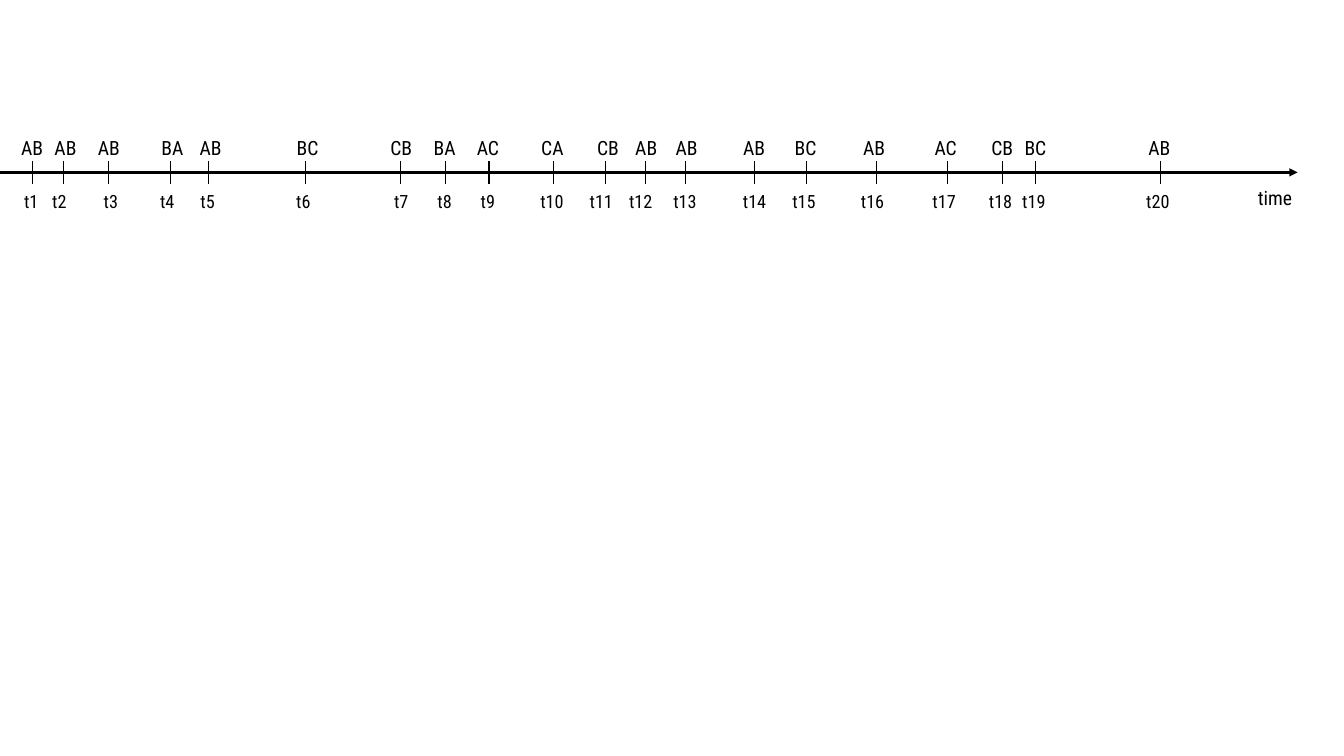
from collections import namedtuple
from dataclasses import dataclass

from lxml.etree import SubElement
from pptx import Presentation
from pptx.dml.color import RGBColor
from pptx.enum.shapes import MSO_CONNECTOR
from pptx.enum.text import MSO_ANCHOR, MSO_AUTO_SIZE, PP_ALIGN
from pptx.oxml.ns import qn
from pptx.util import Inches, Pt


@dataclass(frozen=True)
class Theme:
    ink: RGBColor = RGBColor(0, 0, 0)
    font: str = "Roboto Condensed"
    contact_size: Pt = Pt(14)
    moment_size: Pt = Pt(13)
    axis_width: Pt = Pt(1.75)
    tick_width: Pt = Pt(0.75)


THEME = Theme()
Box = namedtuple("Box", "left top width height")
Event = namedtuple("Event", "contact tick contact_left moment_left")

EVENTS = [
    Event("AB", 0.32, 0.05, 0.14),
    Event("AB", 0.63, 0.38, 0.42),
    Event("AB", 1.08, 0.81, 0.93),
    Event("BA", 1.69, 1.44, 1.49),
    Event("AB", 2.07, 1.82, 1.89),
    Event("BC", 3.03, 2.78, 2.84),
    Event("CB", 3.97, 3.71, 3.81),
    Event("BA", 4.42, 4.14, 4.24),
    Event("AC", 4.85, 4.57, 4.67),
    Event("CA", 5.49, 5.21, 5.26),
    Event("CB", 6.01, 5.76, 5.75),
    Event("AB", 6.4, 6.14, 6.14),
    Event("AB", 6.8, 6.54, 6.58),
    Event("AB", 7.48, 7.21, 7.27),
    Event("BC", 8, 7.72, 7.76),
    Event("AB", 8.69, 8.4, 8.44),
    Event("AC", 9.4, 9.11, 9.15),
    Event("CB", 9.94, 9.67, 9.71),
    Event("BC", 10.27, 10, 10.04),
    Event("AB", 11.51, 11.23, 11.27),
]

CENTERED = {"word_wrap": True, "vertical_anchor": MSO_ANCHOR.MIDDLE}
FITTED = {"word_wrap": False, "auto_size": MSO_AUTO_SIZE.SHAPE_TO_FIT_TEXT}


def apply_format(target, values):
    for attribute, value in values.items():
        setattr(target, attribute, value)


def add_label(slide, box, wording, size, frame_format, alignment):
    label = slide.shapes.add_textbox(*map(Inches, box))
    apply_format(label.text_frame, frame_format)
    paragraph = label.text_frame.paragraphs[0]
    paragraph.alignment = alignment
    run = paragraph.add_run()
    run.text = wording
    apply_format(run.font, {"name": THEME.font, "size": size})
    run.font.color.rgb = THEME.ink


def add_line(slide, start, end, width):
    line = slide.shapes.add_connector(
        MSO_CONNECTOR.STRAIGHT, *map(Inches, (*start, *end))
    )
    line.line.width = width
    line.line.color.rgb = THEME.ink
    SubElement(line._element.spPr, qn("a:effectLst"))
    return line


def add_axis(slide, box):
    axis_y = box.top + 0.42
    axis = add_line(
        slide,
        (box.left, axis_y),
        (box.left + box.width - 0.08, axis_y),
        THEME.axis_width,
    )
    SubElement(axis.line._get_or_add_ln(), qn("a:tailEnd"), type="triangle")
    name_box = Box(box.left + box.width - 0.61, box.top + 0.5, 0.61, 0.35)
    add_label(slide, name_box, "time", THEME.contact_size, CENTERED, PP_ALIGN.CENTER)


def add_event(slide, box, number, event):
    tick_x = box.left + event.tick
    add_line(
        slide, (tick_x, box.top + 0.31), (tick_x, box.top + 0.54), THEME.tick_width
    )
    contact_box = Box(box.left + event.contact_left, box.top, 0.54, 0.35)
    add_label(
        slide, contact_box, event.contact, THEME.contact_size, CENTERED, PP_ALIGN.CENTER
    )
    moment_width = 0.36 if number < 10 else 0.45
    moment_box = Box(box.left + event.moment_left, box.top + 0.55, moment_width, 0.32)
    add_label(
        slide, moment_box, f"t{number}", THEME.moment_size, FITTED, PP_ALIGN.LEFT
    )


def add_timeline(slide, box):
    add_axis(slide, box)
    for number, event in enumerate(EVENTS, 1):
        add_event(slide, box, number, event)


def main():
    presentation = Presentation()
    apply_format(
        presentation, {"slide_width": Inches(13.33), "slide_height": Inches(7.5)}
    )
    slide = presentation.slides.add_slide(presentation.slide_layouts[6])
    add_timeline(slide, Box(0, 1.29, 12.95, 0.87))
    presentation.save("out.pptx")


if __name__ == "__main__":
    main()
